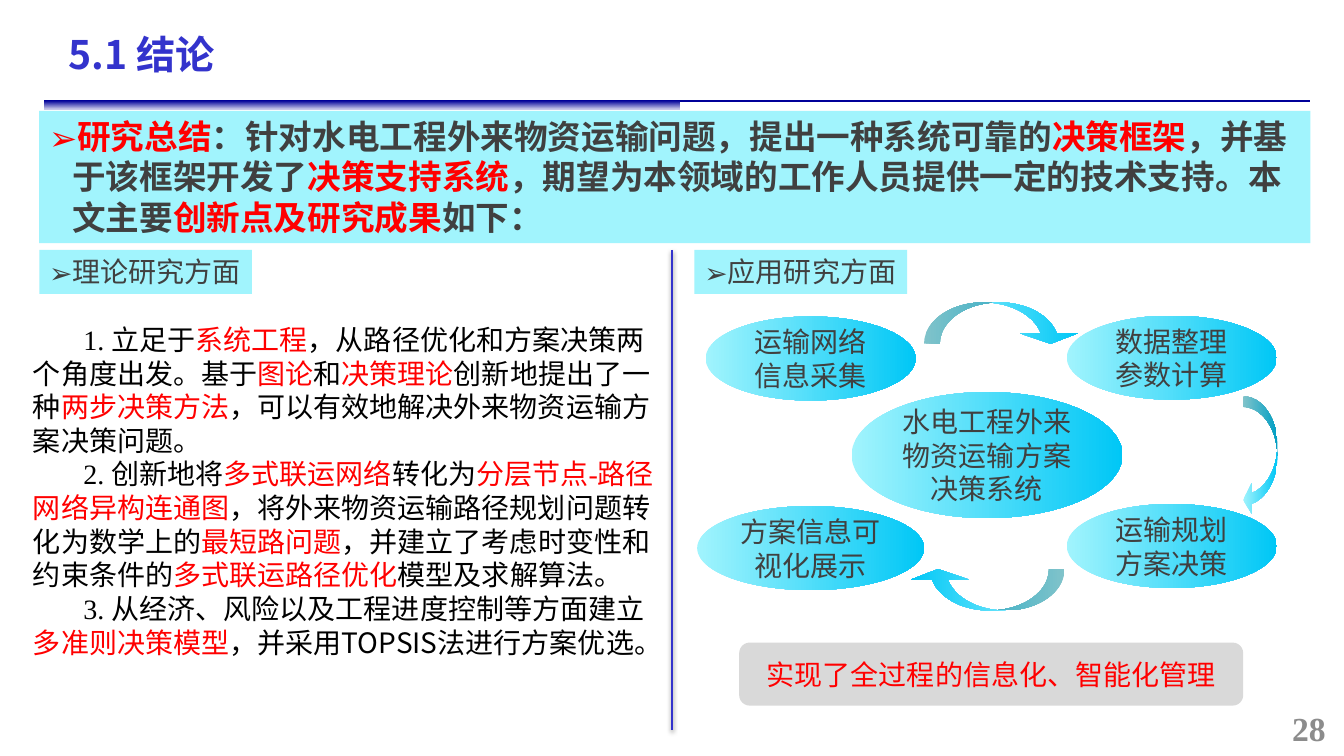
from lxml import etree
from pptx import Presentation
from pptx.dml.color import RGBColor
from pptx.enum.shapes import MSO_CONNECTOR, MSO_SHAPE
from pptx.enum.text import MSO_ANCHOR, PP_ALIGN
from pptx.oxml.ns import qn
from pptx.util import Inches, Pt

RECT, OVAL, ROUND = MSO_SHAPE.RECTANGLE, MSO_SHAPE.OVAL, MSO_SHAPE.ROUNDED_RECTANGLE
DOWN, LEFT = MSO_SHAPE.CURVED_DOWN_ARROW, MSO_SHAPE.CURVED_LEFT_ARROW
LINE = MSO_CONNECTOR.STRAIGHT
TOP, MID = MSO_ANCHOR.TOP, MSO_ANCHOR.MIDDLE
START, MIDDLE, END = PP_ALIGN.LEFT, PP_ALIGN.CENTER, PP_ALIGN.RIGHT

SANS, SERIF = "Noto Sans CJK SC", "Times New Roman"
COLS, ROWS = 64, 36
WIDE, HIGH = Inches(13.33), Inches(7.5)
HUE = {
    "navy": "000099", "haze": "C6C6E8", "blue": "3333CC", "pale": "A1F4FD",
    "cyan": "00C7F6", "red": "FF0000", "dark": "404040", "black": "000000",
    "gray": "D9D9D9", "page": "8C8C8C",
}

# Asterisks enclose red words; a caret starts a sans-serif run.
SUM = ("*研究总结*：针对水电工程外来物资运输问题，提出一种系统可靠的*决策框架*，"
       "并基于该框架开发了*决策支持系统*，期望为本领域的工作人员提供一定的技术支持。"
       "本文主要*创新点及研究成果*如下：")
BODY = [
    "1. 立足于*系统工程*，从路径优化和方案决策两个角度出发。基于*图论*和*决策理论*"
    "创新地提出了一种*两步决策方法*，可以有效地解决外来物资运输方案决策问题。",
    "2. 创新地将*多式联运网络*转化为*分层节点-路径网络异构连通图*，"
    "将外来物资运输路径规划问题转化为数学上的*最短路问题*，"
    "并建立了考虑时变性和约束条件的*多式联运路径优化*模型及求解算法。",
    "3. 从经济、风险以及工程进度控制等方面建立*多准则决策模型*，"
    "并采用^TOPSIS法进行方案优选。",
]
TAGS = [(1.87, "理论研究方面"), (33.07, "应用研究方面")]
STEPS = [
    ((33.6, 15.07, 10, 4), "运输网络信息采集"),
    ((50.8, 24, 10, 4), "运输规划方案决策"),
    ((50.8, 15.03, 10, 4), "数据整理参数计算"),
    ((33.2, 24.1, 10.8, 4), "方案信息可视化展示"),
    ((40.55, 18.67, 12.9, 6), "水电工程外来物资运输方案决策系统"),
]
BENDS = [
    (DOWN, (44, 14.4, 7.4, 1.97), (0.382, 1.388, 0.25), 0),
    (LEFT, (59.2, 18.87, 1.63, 5.66), (0.314, 0.882, 0.25), 0),
    (DOWN, (43.3, 27.1, 7.4, 1.97), (0.382, 1.388, 0.25), 180),
]


def rgb(name):
    return RGBColor.from_string(HUE[name])


def grid(box):
    """Turn columns and rows into slide lengths."""
    return [round(n * side / count) for n, side, count
            in zip(box, (WIDE, HIGH) * 2, (COLS, ROWS) * 2)]


def node(owner, tag, **attrs):
    return etree.SubElement(owner, qn(tag), attrs)


def shape(slide, kind, box, fill, angle=0):
    """Draw a preset shape; a pair of colours makes a gradient."""
    item = slide.shapes.add_shape(kind, *grid(box))
    item.shadow.inherit = False
    item.line.fill.background()
    if isinstance(fill, tuple):
        item.fill.gradient()
        item.fill.gradient_angle = angle
        for stop, name in zip(item.fill.gradient_stops, fill):
            stop.color.rgb = rgb(name)
    else:
        item.fill.solid()
        item.fill.fore_color.rgb = rgb(fill)
    return item


def label(slide, box, *args, **style):
    write(slide.shapes.add_textbox(*grid(box)), *args, **style)


def face(font, name):
    """Set the Latin font and keep Chinese in the sans font."""
    font.name = name
    font._element.find(qn("a:latin")).addnext(
        etree.Element(qn("a:ea"), typeface=SANS))


def write(item, texts, size, hue, font=SERIF, bold=False, align=START,
          anchor=TOP, wrap=True, first=0, mark=None):
    frame = item.text_frame
    frame.word_wrap, frame.vertical_anchor = wrap, anchor
    for i, text in enumerate(texts):
        para = frame.add_paragraph() if i else frame.paragraphs[0]
        para.alignment = align
        props = para._p.get_or_add_pPr()
        if mark:
            props.set("marL", str(Inches(0.23)))
            props.set("indent", str(-Inches(0.23)))
            node(props, "a:buFont", typeface=SANS)
            node(props, "a:buChar", char=mark)
        elif first:
            props.set("marL", "0")
            props.set("indent", str(Inches(first)))
        para.font.size, para.font.bold = Pt(size), bold
        para.font.color.rgb = rgb(hue)
        face(para.font, font)
        for j, part in enumerate(text.split("*")):
            for k, words in enumerate(part.split("^")):
                if not words:
                    continue
                run = para.add_run()
                run.text = words
                if j % 2:
                    run.font.color.rgb = rgb("red")
                if k:
                    face(run.font, SANS)


def rule(slide, start, end, hue, width):
    """Draw a line and return its empty effect list."""
    line = slide.shapes.add_connector(LINE, *grid(start + end))
    line.line.color.rgb, line.line.width = rgb(hue), Pt(width)
    return node(line._element.spPr, "a:effectLst")


def shade(effects):
    cast = node(effects, "a:outerShdw", blurRad=str(Pt(3.1)),
                dist=str(Pt(1.6)), dir="5400000", rotWithShape="0")
    node(node(cast, "a:srgbClr", val=HUE["black"]), "a:alpha", val="38000")


def main():
    deck = Presentation()
    deck.slide_width, deck.slide_height = WIDE, HIGH
    slide = deck.slides.add_slide(deck.slide_layouts[6])

    # Header
    rule(slide, (2.1, 4.8), (62.4, 4.8), "navy", 1.5)
    shape(slide, RECT, (2.1, 4.8, 30.3, 0.4), ("navy", "haze"), 270)
    label(slide, (2.8, 1.2, 37.8, 2.75), ["5.1 结论"], 28, "blue", SANS, True)

    # Summary and column headings
    write(shape(slide, RECT, (1.87, 5.28, 60.53, 6.3), "pale"),
          [SUM], 24, "dark", SANS, True, mark="➢")
    for left, text in TAGS:
        write(shape(slide, RECT, (left, 11.9, 10.13, 2.1), "pale"),
              [text], 20, "dark", SANS, wrap=False, mark="➢")

    # Theory column
    label(slide, (1.1, 15.12, 30.72, 16.65), BODY, 20, "black", first=0.5)
    shade(rule(slide, (32, 11.9), (32, 34.75), "blue", 2))

    # Application cycle
    glow = ("pale", "cyan")
    for box, text in STEPS:
        write(shape(slide, OVAL, box, glow), [text], 20, "dark",
              align=MIDDLE, anchor=MID)
    for kind, box, bends, turn in BENDS:
        bend = shape(slide, kind, box, glow)
        bend.rotation = turn
        for i, value in enumerate(bends):
            bend.adjustments[i] = value
    write(shape(slide, ROUND, (35.2, 30.6, 24, 3), "gray"),
          ["实现了全过程的信息化、智能化管理"], 20, "red",
          align=MIDDLE, anchor=MID)

    # Page number
    label(slide, (49.2, 33.7, 14.4, 1.92), ["28"], 24, "page", bold=True,
          align=END, anchor=MID)
    deck.save("out.pptx")


if __name__ == "__main__":
    main()
